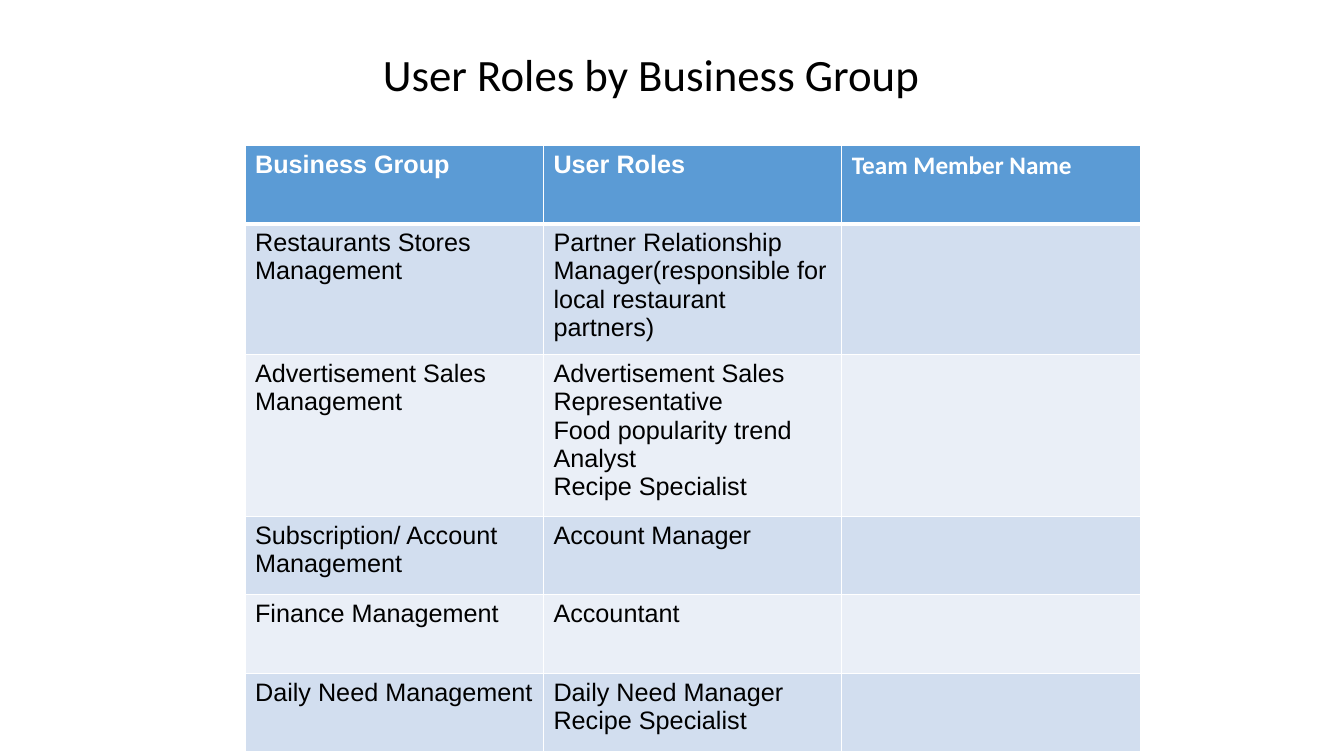
from lxml.etree import SubElement
from pptx import Presentation
from pptx.dml.color import RGBColor
from pptx.enum.text import MSO_AUTO_SIZE
from pptx.oxml.ns import qn
from pptx.util import Inches, Pt

TITLE = "User Roles by Business Group"
HEADINGS = [("Business Group", "Arial"), ("User Roles", "Arial"), ("Team Member Name", "Calibri")]
GROUPS = [
    ("Restaurants Stores Management",
     ["Partner Relationship Manager(responsible for local restaurant partners)"]),
    ("Advertisement Sales Management",
     ["Advertisement Sales Representative", "Food popularity trend Analyst", "Recipe Specialist"]),
    ("Subscription/ Account Management", ["Account Manager"]),
    ("Finance Management", ["Accountant"]),
    ("Daily Need Management", ["Daily Need Manager", "Recipe Specialist"]),
]

BLACK = RGBColor(0x00, 0x00, 0x00)
WHITE = RGBColor(0xFF, 0xFF, 0xFF)
HEADER_BLUE = RGBColor(0x5B, 0x9B, 0xD5)
BANDS = [RGBColor(0xD2, 0xDE, 0xEF), RGBColor(0xEA, 0xEF, 0xF7)]

COLUMN_WIDTH = Inches(2.96)
ROW_HEIGHT = Inches(0.78)


def write(frame, lines, font_name, size, color, bold=False):
    for index, line in enumerate(lines):
        para = frame.paragraphs[0] if index == 0 else frame.add_paragraph()
        span = para.add_run()
        span.text = line
        span.font.name = font_name
        span.font.size = Pt(size)
        span.font.bold = bold
        span.font.color.rgb = color


def set_borders(cell, top, bottom):
    properties = cell._tc.get_or_add_tcPr()
    widths = {"a:lnL": 1, "a:lnR": 1, "a:lnT": top, "a:lnB": bottom}
    for index, (tag, width) in enumerate(widths.items()):
        line = SubElement(properties, qn(tag), w=str(Pt(width)))
        fill = SubElement(line, qn("a:solidFill"))
        SubElement(fill, qn("a:srgbClr"), val=str(WHITE))
        properties.insert(index, line)


def add_title(page):
    box = page.shapes.add_textbox(Inches(3.7), Inches(0.41), Inches(5.57), Inches(0.64))
    box.text_frame.word_wrap = False
    box.text_frame.auto_size = MSO_AUTO_SIZE.SHAPE_TO_FIT_TEXT
    write(box.text_frame, [TITLE], "Calibri", 32, BLACK)


def add_roles_table(page):
    rows, columns = len(GROUPS) + 1, len(HEADINGS)
    table = page.shapes.add_table(rows, columns, Inches(2.43), Inches(1.44),
                                  COLUMN_WIDTH * columns, ROW_HEIGHT * rows).table
    for column in table.columns:
        column.width = COLUMN_WIDTH
    for row in table.rows:
        row.height = ROW_HEIGHT

    for index, (heading, font_name) in enumerate(HEADINGS):
        write(table.cell(0, index).text_frame, [heading], font_name, 18, WHITE, True)
    for index, (group, roles) in enumerate(GROUPS, 1):
        write(table.cell(index, 0).text_frame, [group], "Arial", 18, BLACK)
        write(table.cell(index, 1).text_frame, roles, "Arial", 18, BLACK)

    for index, row in enumerate(table.rows):
        for cell in row.cells:
            cell.fill.solid()
            cell.fill.fore_color.rgb = BANDS[(index - 1) % 2] if index else HEADER_BLUE
            set_borders(cell, 3 if index == 1 else 1, 3 if index == 0 else 1)


def main():
    deck = Presentation()
    deck.slide_width, deck.slide_height = Inches(13.33), Inches(7.5)
    page = deck.slides.add_slide(deck.slide_layouts[6])
    add_title(page)
    add_roles_table(page)
    deck.save("out.pptx")


if __name__ == "__main__":
    main()
